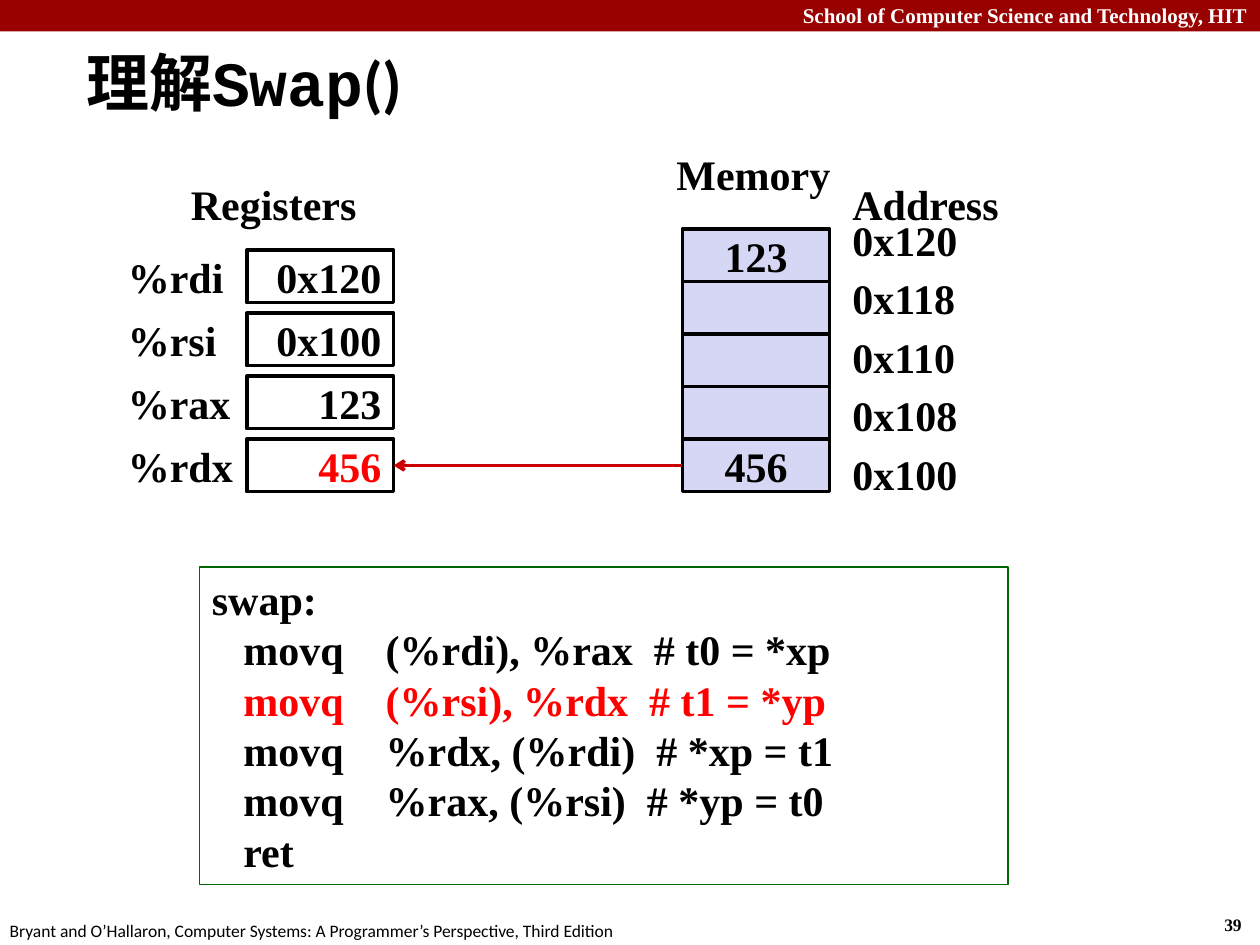
"""Build the slide that traces the swap() assembly through registers and memory."""
import lxml.etree
import pptx
import pptx.dml.color
import pptx.enum.shapes
import pptx.enum.text
import pptx.oxml.ns
import pptx.util

Pt = pptx.util.Pt
ALIGN = pptx.enum.text.PP_ALIGN
ANCHOR = pptx.enum.text.MSO_ANCHOR
RECTANGLE = pptx.enum.shapes.MSO_SHAPE.RECTANGLE

THEME = {
    "black": "000000", "white": "FFFFFF", "banner": "990000",
    "memory": "D6D6F5", "active": "FF0000", "arrow": "CC0000", "code": "006600",
    "serif": "Times New Roman", "sans": "Calibri", "mono": "Courier New",
    "title": 36, "body": 24, "header": 12, "footer": 10,
}


def rgb(name):
    return pptx.dml.color.RGBColor.from_string(THEME[name])


def write(text, on=None, at=None, fill=None, line=None, line_width=2, font="serif",
          size="body", color="black", bold=True, align=ALIGN.LEFT,
          anchor=ANCHOR.TOP, wrap=True, spacing=None, extend=False):
    if on is None:
        area = [Pt(length) for length in at]
        if fill or line:
            on = slide.shapes.add_shape(RECTANGLE, *area)
            on.shadow.inherit = False
            if fill:
                on.fill.solid()
                on.fill.fore_color.rgb = rgb(fill)
            else:
                on.fill.background()
            if line:
                on.line.color.rgb = rgb(line)
                on.line.width = Pt(line_width)
            else:
                on.line.fill.background()
        else:
            on = slide.shapes.add_textbox(*area)
    frame = on.text_frame
    frame.word_wrap = wrap
    frame.vertical_anchor = anchor
    for index, words in enumerate(text.split("\n") if text else []):
        if extend:
            paragraph = frame.paragraphs[-1]
        else:
            paragraph = frame.add_paragraph() if index else frame.paragraphs[0]
        paragraph.alignment = align
        if spacing:
            paragraph.line_spacing = Pt(spacing)
        run = paragraph.add_run()
        run.text = words
        run.font.name = THEME[font]
        run.font.size = Pt(THEME[size])
        run.font.bold = bold
        run.font.color.rgb = rgb(color)
    return on


deck = pptx.Presentation()
deck.slide_width, deck.slide_height = Pt(720), Pt(540)
slide = deck.slides.add_slide(deck.slide_layouts[5])

write("", at=(0, 0, 720, 18), fill="banner")
write("39", at=(692.5, 519, 27, 19.5), size="footer", wrap=False)
write("School of Computer Science and Technology, HIT", at=(0, -2, 720, 21.6),
      size="header", color="white", align=ALIGN.RIGHT)
write("Bryant and O’Hallaron, Computer Systems: A Programmer’s Perspective, Third Edition",
      at=(-1.5, 522, 366, 19.5), font="sans", size="footer", bold=False, wrap=False)

title = slide.shapes.title
title.left, title.top, title.width, title.height = Pt(42), Pt(24), Pt(502), Pt(45)
title.text_frame.auto_size = pptx.enum.text.MSO_AUTO_SIZE.NONE
for part, face in (("理解", "sans"), ("Swap", "mono"), ("()", "sans")):
    write(part, on=title, font=face, size="title", anchor=ANCHOR.MIDDLE, extend=True)

for row, value in enumerate(("123", "", "", "", "456")):
    memory_cell = write(value, at=(390, 131 + 30 * row, 84, 30), fill="memory",
                        line="black", align=ALIGN.CENTER, anchor=ANCHOR.MIDDLE)

registers = (("%rdi", "0x120", "black"), ("%rsi", "0x100", "black"),
             ("%rax", "123", "black"), ("%rdx", "456", "active"))
for row, (register, value, value_color) in enumerate(registers):
    top = 143 + 36 * row
    write(register, at=(66, top, 75, 30), fill="white", anchor=ANCHOR.MIDDLE)
    register_cell = write(value, at=(141, top, 84, 30), fill="white", line="black",
                          color=value_color, align=ALIGN.RIGHT, anchor=ANCHOR.MIDDLE)

write("Registers", at=(102, 98.5, 110, 36), wrap=False)
write("Memory", at=(379.5, 81.5, 103, 36), wrap=False)

load = slide.shapes.add_connector(pptx.enum.shapes.MSO_CONNECTOR.STRAIGHT,
                                  Pt(390), Pt(266), Pt(225), Pt(266))
load.begin_connect(memory_cell, 1)
load.end_connect(register_cell, 3)
load.line.color.rgb = rgb("arrow")
load.line.width = Pt(2)
lxml.etree.SubElement(load.line._get_or_add_ln(), pptx.oxml.ns.qn("a:tailEnd"), type="arrow")
lxml.etree.SubElement(load._element.spPr, pptx.oxml.ns.qn("a:effectLst"))

listing = write("""swap:
   movq    (%rdi), %rax  # t0 = *xp
   movq    (%rsi), %rdx  # t1 = *yp
   movq    %rdx, (%rdi)  # *xp = t1
   movq    %rax, (%rsi)  # *yp = t0
   ret""", at=(114, 324, 462, 181.5), line="code", line_width=1, spacing=28.8)
listing.text_frame.paragraphs[2].runs[0].font.color.rgb = rgb("active")

for row, address in enumerate(("0x120", "0x118", "0x110", "0x108", "0x100")):
    write(address, at=(480, 119 + 33.4 * row, 126, 39))
write("Address", at=(480, 98.5, 126, 70))

deck.save("out.pptx")
